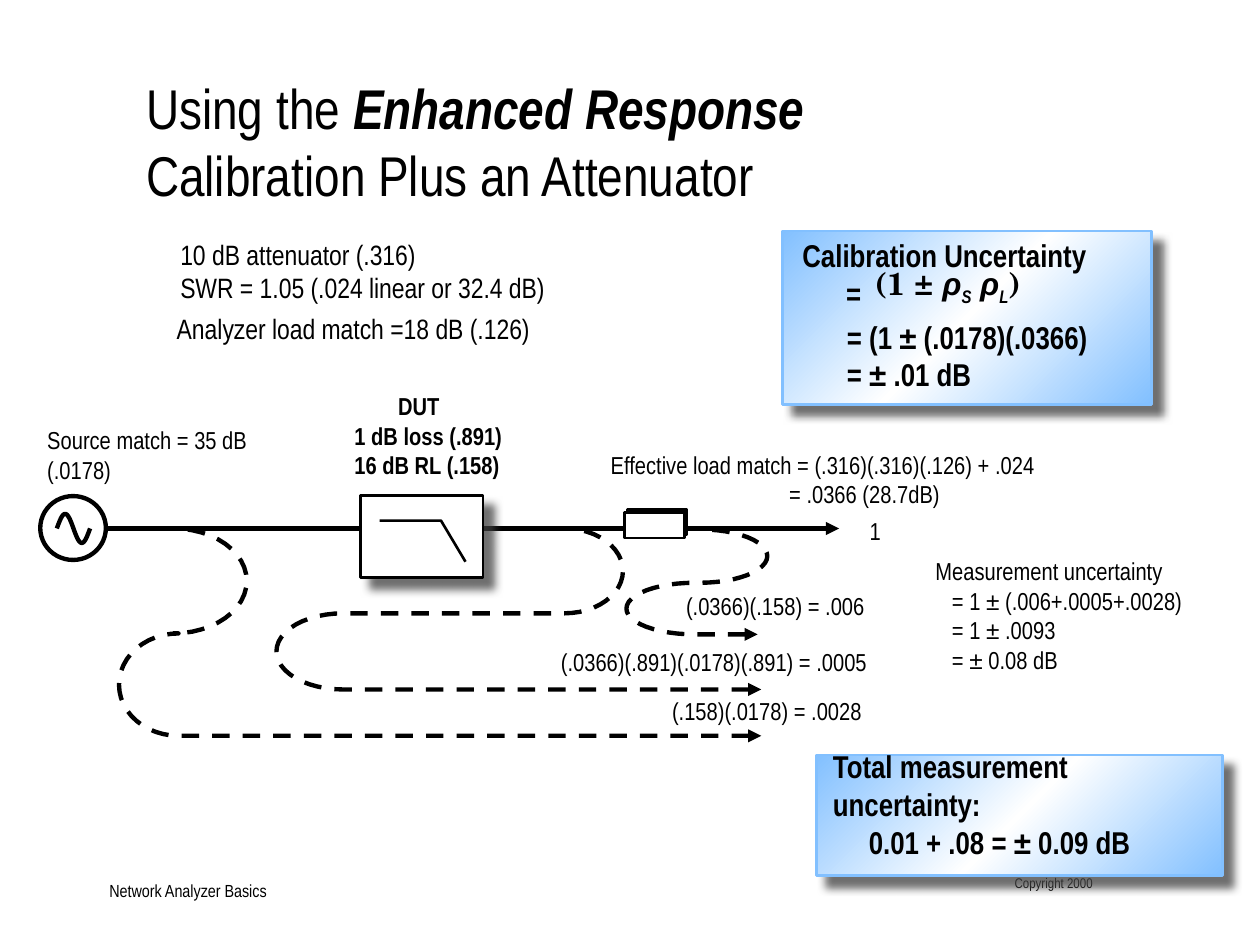
from copy import deepcopy
from math import cos, pi, sin

from pptx import Presentation
from pptx.dml.color import RGBColor
from pptx.enum.dml import MSO_LINE
from pptx.enum.shapes import MSO_CONNECTOR, MSO_SHAPE
from pptx.enum.text import MSO_ANCHOR, MSO_AUTO_SIZE, PP_ALIGN
from pptx.oxml import parse_xml
from pptx.oxml.ns import nsdecls, qn
from pptx.util import Pt

BLACK = RGBColor(0x00, 0x00, 0x00)
WHITE = RGBColor(0xFF, 0xFF, 0xFF)
BLUE = RGBColor(0x82, 0xC0, 0xFF)
SHADOW = RGBColor(0x40, 0x40, 0x40)
FONT = "Arial Narrow"
THICK, THIN = 2.5, 1.5


def add_run(p, text, size, bold=False, italic=False, font=FONT, baseline=0):
    r = p.add_run()
    r.text = text
    f = r.font
    f.name, f.size, f.bold, f.italic = font, Pt(size), bold, italic
    f.color.rgb = BLACK
    if baseline:
        r._r.get_or_add_rPr().set("baseline", str(baseline * 1000))


def prepare_frame(tf, anchor=MSO_ANCHOR.TOP):
    tf.word_wrap = True
    tf.auto_size = MSO_AUTO_SIZE.NONE
    tf.vertical_anchor = anchor
    tf.margin_left = tf.margin_right = tf.margin_top = tf.margin_bottom = 0


def add_text(s, box, lines, size, bold=False, anchor=MSO_ANCHOR.TOP,
             align=PP_ALIGN.LEFT):
    """Each line is an (indent, text) pair."""
    tf = s.shapes.add_textbox(*map(Pt, box)).text_frame
    prepare_frame(tf, anchor)
    for i, (indent, text) in enumerate(lines):
        p = tf.add_paragraph() if i else tf.paragraphs[0]
        p.alignment = align
        if indent:
            p._p.get_or_add_pPr().set("marL", str(Pt(indent)))
        if text:
            add_run(p, text, size, bold)
    return tf


def add_box(s, kind, box, fill, line, width):
    sp = s.shapes.add_shape(kind, *map(Pt, box))
    sp.shadow.inherit = False
    if kind == MSO_SHAPE.ROUNDED_RECTANGLE:
        sp.adjustments[0] = 0
    if fill is None:
        sp.fill.background()
    else:
        sp.fill.solid()
        sp.fill.fore_color.rgb = fill
    sp.line.color.rgb = line
    sp.line.width = Pt(width)
    return sp


def add_shadow(sp):
    sp.element.spPr.find(qn("a:effectLst")).append(parse_xml(
        f'<a:outerShdw {nsdecls("a")} blurRad="{Pt(5)}" dist="{Pt(8.5)}" '
        f'dir="2700000" algn="tl" rotWithShape="0"><a:srgbClr val="{SHADOW}">'
        '<a:alpha val="75000"/></a:srgbClr></a:outerShdw>'))


def add_arrowhead(sp, end):
    sp.line._get_or_add_ln().append(
        parse_xml(f'<a:{end} {nsdecls("a")} type="triangle"/>'))


def add_curve(s, points, width):
    start, *rest = [(Pt(x), Pt(y)) for x, y in points]
    builder = s.shapes.build_freeform(*start)
    builder.add_line_segments(rest, close=False)
    sp = builder.convert_to_shape()
    sp.shadow.inherit = False
    sp.fill.background()
    sp.line.color.rgb = BLACK
    sp.line.width = Pt(width)
    return sp


def half_ellipse(x, bottom, top, reach, steps=24):
    """Points of a bend from bottom to top; a negative reach bulges left."""
    middle, radius = (bottom + top) / 2, (bottom - top) / 2
    angles = [pi * i / steps for i in range(steps + 1)]
    return [(x + reach * sin(a), middle + radius * cos(a)) for a in angles]


def add_loop(s, tip, levels, left, right):
    """Dashed S-shaped reflection that ends in an arrow at the tip."""
    low, middle, high = levels
    sp = add_curve(s, [(tip, low)] + half_ellipse(left[0], low, middle, -left[1])
                   + half_ellipse(right[0], middle, high, right[1]), THICK)
    sp.line.dash_style = MSO_LINE.DASH
    add_arrowhead(sp, "headEnd")


def title(s, box):
    sp = s.shapes.title
    sp.left, sp.top, sp.width, sp.height = map(Pt, box)
    tf = sp.text_frame
    prepare_frame(tf)
    p = tf.paragraphs[0]
    add_run(p, "Using the ", 32)
    add_run(p, "Enhanced Response", 32, True, True)
    p2 = tf.add_paragraph()
    add_run(p2, "Calibration Plus an Attenuator", 32)
    p.alignment = p2.alignment = PP_ALIGN.LEFT


def footer(s, box):
    x, y, w, h = box
    add_text(s, (x, y, 192, h), [(0, "Network Analyzer Basics")], 10,
             anchor=MSO_ANCHOR.BOTTOM)
    add_text(s, (x + w - 46, y - 2, 46, 18), [(0, "Copyright 2000")], 8,
             align=PP_ALIGN.RIGHT)


def panel(s, box):
    """Shadowed panel with a diagonal blue-white-blue gradient."""
    sp = add_box(s, MSO_SHAPE.ROUNDED_RECTANGLE, box, None, BLUE, THIN)
    sp.fill.gradient()
    sp.fill.gradient_angle = 315
    edge, centre = sp.fill.gradient_stops
    edge.color.rgb, edge.position = BLUE, 0
    centre.color.rgb, centre.position = WHITE, 0.5
    stops = next(sp.element.spPr.iter(qn("a:gsLst")))
    stops.append(deepcopy(stops[0]))
    sp.fill.gradient_stops[2].position = 1
    add_shadow(sp)


def calibration_panel(s, box):
    x, y, w, h = box
    panel(s, box)
    add_text(s, (x + 11.5, y + 11.5, 251, 34.5),
             [(0, "Calibration Uncertainty"), (25, "=")], 18, True, MSO_ANCHOR.BOTTOM)
    add_text(s, (x + 33, y + 49.5, 180, 38),
             [(4, "= (1 ± (.0178)(.0366)"), (4, "= ± .01 dB")], 18, True)
    # Formula with subscripts
    tf = add_text(s, (x + 53, y + 23.5, 102, 20), [(0, "")], 18,
                  anchor=MSO_ANCHOR.BOTTOM)
    serif = "TeX Gyre Schola"
    for text, italic, font, baseline in (
            ("(1 ", False, serif, 0), ("± ", True, serif, 0),
            ("ρ", True, "Arial", 0), ("S", True, FONT, -25),
            (" ρ", True, "Arial", 0), ("L", True, FONT, -25),
            (")", False, serif, 0)):
        add_run(tf.paragraphs[0], text, 18, True, italic, font, baseline)


def total_panel(s, box):
    x, y, w, h = box
    panel(s, box)
    add_text(s, (x + 9.5, y - 4.5, 222, 43),
             [(0, "Total measurement uncertainty:"),
              (20.5, "0.01 + .08 = ± 0.09 dB")], 18, True)


def assumptions(s, box):
    x, y, w, h = box
    add_text(s, (x + 2, y, w, h), [(0, "10 dB attenuator (.316)"),
             (0, "SWR = 1.05 (.024 linear or 32.4 dB)")], 16)
    add_text(s, (x, y + 42.5, w, 21), [(0, "Analyzer load match =18 dB (.126)")], 16)


def signal_path(s, box):
    """Source, DUT and attenuator on one axis, with reflections below."""
    x, y, w, h = box
    axis = y + 18.5
    # Source
    add_box(s, MSO_SHAPE.OVAL, (x, y, 37.5, 36.5), WHITE, BLACK, THICK)
    add_curve(s, [(x + 9.5 + 19 * i / 40, axis - 8.3 * sin(2 * pi * i / 40))
                  for i in range(41)], THICK)
    # Main line
    line = s.shapes.add_connector(MSO_CONNECTOR.STRAIGHT, Pt(x + 39), Pt(axis),
                                  Pt(x + w), Pt(axis))
    line.line.color.rgb = BLACK
    line.line.width = Pt(THICK)
    add_arrowhead(line, "tailEnd")
    line._element.spPr.append(parse_xml(f'<a:effectLst {nsdecls("a")}/>'))
    # DUT with its frequency response
    add_shadow(add_box(s, MSO_SHAPE.ROUNDED_RECTANGLE,
                       (x + 183, y - 0.5, 70, 47), WHITE, BLACK, THIN))
    add_curve(s, [(x + 194, y + 14), (x + 229, y + 14), (x + 243, y + 37.5)], THIN)
    # Reflections: tip, levels, then (position, reach) of both bends
    for tip, levels, left, right in (
            (412, (92, 48.5, 0), (173, 38), (299.5, 33.5)),
            (412, (118.5, 60, 0), (79, 34), (76, 42)),
            (410, (60.5, 31, 0.5), (374, 39), (377, 38.5))):
        add_loop(s, x + tip, [axis + d for d in levels],
                 (x + left[0], left[1]), (x + right[0], right[1]))
    # Attenuator
    for dx, dy, fill in ((335.5, 7.5, BLACK), (334, 9.5, WHITE)):
        add_box(s, MSO_SHAPE.ROUNDED_RECTANGLE, (x + dx, y + dy, 34, 14.5),
                fill, BLACK, THIN)
    # Labels
    for dx, dy, width, text in (
            (4, -40.5, 119.5, "Source match = 35 dB (.0178)"),
            (474, 11.5, 10, "1"),
            (369, 54, 151, "(.0366)(.158) = .006"),
            (297.5, 86.5, 248, "(.0366)(.891)(.0178)(.891) = .0005"),
            (361, 114.5, 154, "(.158)(.0178) = .0028")):
        add_text(s, (x + dx, y + dy, width, 20), [(0, text)], 14)
    add_text(s, (x + 179.5, y - 60, 136, 53),
             [(25, "DUT"), (0, "1 dB loss (.891)"), (0, "16 dB RL (.158)")], 14, True)
    add_text(s, (x + 326, y - 26.5, 352, 34.5),
             [(0, "Effective load match = (.316)(.316)(.126) + .024"),
              (102, "= .0366 (28.7dB)")], 14)


def measurement_uncertainty(s, box):
    add_text(s, box, [(0, "Measurement uncertainty"),
                      (9.5, "= 1 ± (.006+.0005+.0028)"),
                      (9.5, "= 1 ± .0093"), (9.5, "= ± 0.08 dB")], 14)


def main():
    prs = Presentation()
    prs.slide_width, prs.slide_height = Pt(720), Pt(540)
    s = prs.slides.add_slide(prs.slide_layouts[5])
    footer(s, (62.5, 502, 562, 13))
    title(s, (83.5, 42, 688, 70))
    measurement_uncertainty(s, (534.5, 318, 198, 70))
    total_panel(s, (466.5, 431.5, 232, 69))
    signal_path(s, (23, 283.5, 456.5, 137))
    assumptions(s, (101, 135.5, 298, 57.5))
    calibration_panel(s, (447, 132, 211, 99))
    prs.save("out.pptx")


if __name__ == "__main__":
    main()
